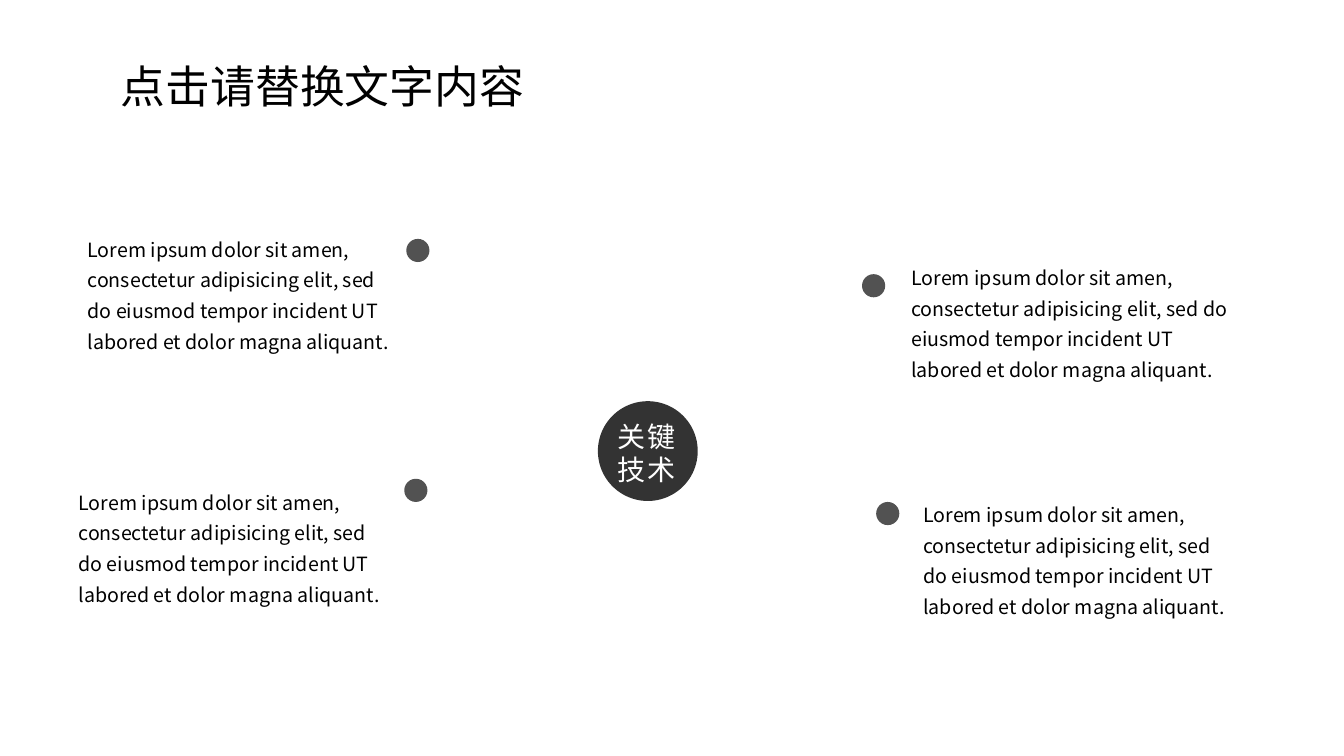
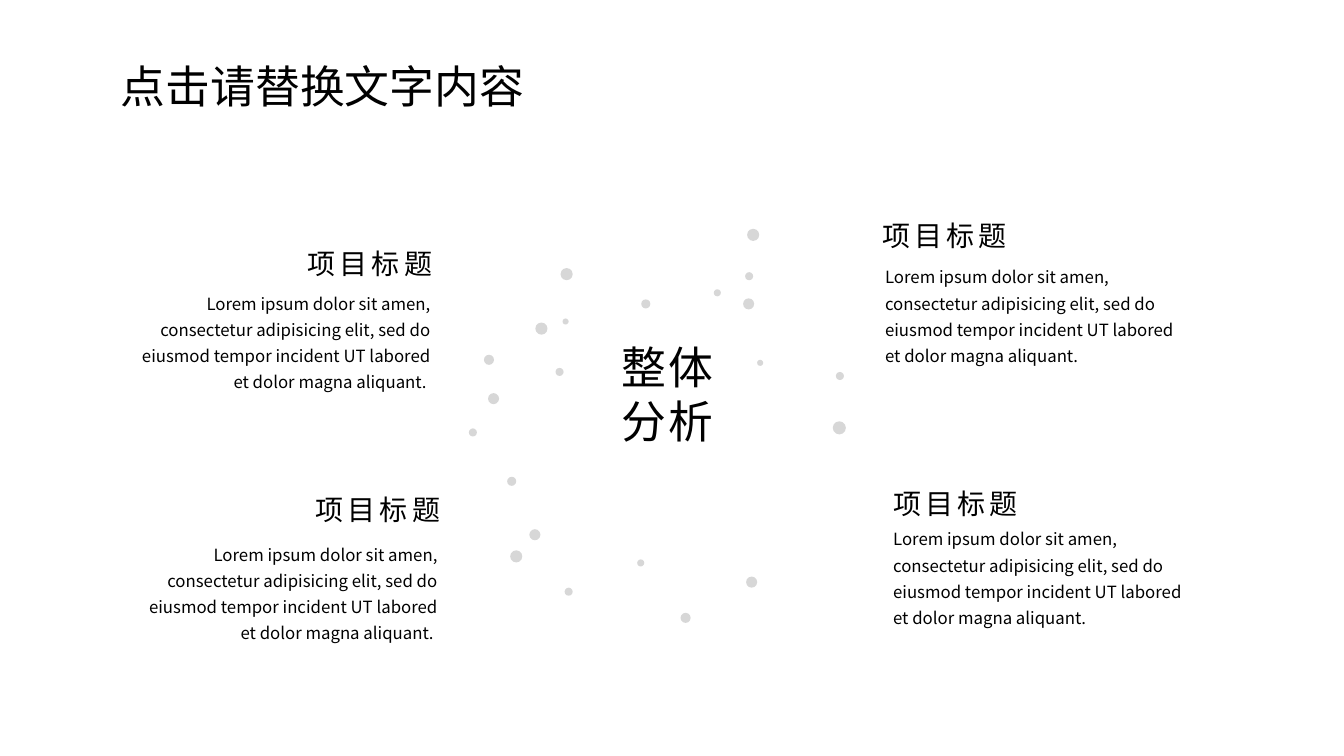
from pptx import Presentation
from pptx.dml.color import RGBColor
from pptx.enum.shapes import MSO_SHAPE
from pptx.enum.text import MSO_AUTO_SIZE, PP_ALIGN
from pptx.oxml.ns import qn
from pptx.util import Inches, Pt
from lxml import etree

OVAL = MSO_SHAPE.OVAL
FIT = MSO_AUTO_SIZE.SHAPE_TO_FIT_TEXT
LEFT, RIGHT = PP_ALIGN.LEFT, PP_ALIGN.RIGHT
SANS, HEAD = "Noto Sans CJK SC", "Noto Sans CJK JP"
BLACK, WHITE, GREY, DARK, MIST = "000000", "FFFFFF", "525252", "333333", "7F7F7F"
LEAD = 1.3

TITLE = "点击请替换文字内容"
ITEM = "项目标题"
LOREM = ("Lorem ipsum dolor sit amen, consectetur adipisicing elit, sed do "
         "eiusmod tempor incident UT labored et dolor magna aliquant.")

# dot left, dot top, text left, text top, text width
POINTS = [
    (4.03, 2.37, 0.77, 2.24, 3.25),
    (4.01, 4.75, 0.68, 4.75, 3.25),
    (8.55, 2.72, 8.94, 2.52, 3.52),
    (8.69, 4.98, 9.06, 4.87, 3.28),
]
# heading left, heading top, text left, text top, text width, alignment
ITEMS = [
    (2.95, 2.3, 1.16, 2.8, 3.21, RIGHT),
    (3.03, 4.74, 1.23, 5.29, 3.21, RIGHT),
    (8.65, 2.02, 8.68, 2.54, 3.19, LEFT),
    (8.76, 4.68, 8.76, 5.14, 3.19, LEFT),
]
# size: left and top of each dot
CLOUD = {
    0.06: [(5.58, 3.16), (7.51, 3.57)],
    0.07: [(6.32, 5.55), (7.08, 2.87)],
    0.08: [(5.6, 5.83), (8.29, 3.69), (7.39, 2.7), (5.51, 3.65), (4.65, 4.25)],
    0.09: [(6.36, 2.97), (5.03, 4.73)],
    0.1: [(4.8, 3.52), (6.75, 6.08)],
    0.11: [(5.25, 5.25), (7.4, 5.72), (7.37, 2.96), (4.84, 3.9)],
    0.12: [(7.41, 2.27), (5.06, 5.46), (5.56, 2.66), (5.31, 3.2)],
    0.13: [(8.26, 4.18)],
}


def color(text):
    return RGBColor.from_string(text)


def disc(slide, x, y, size, fill, alpha=100):
    """Draw a circle; alpha is its opacity in percent."""
    shape = slide.shapes.add_shape(OVAL, *map(Inches, (x, y, size, size)))
    shape.shadow.inherit = False
    shape.line.fill.background()
    shape.fill.solid()
    shape.fill.fore_color.rgb = color(fill)
    if alpha < 100:
        tint = shape.fill._xPr.find(".//" + qn("a:srgbClr"))
        etree.SubElement(tint, qn("a:alpha"), val=str(alpha * 1000))


def label(slide, box, text, size, font=SANS, ink=BLACK, wrap=True,
          align=LEFT, lead=None, track=0):
    """Add a text box; track is the letter spacing in points."""
    frame = slide.shapes.add_textbox(*map(Inches, box)).text_frame
    frame.word_wrap = wrap
    frame.auto_size = FIT
    frame.text = text
    for para in frame.paragraphs:
        para.alignment = align
        para.line_spacing = lead
        for run in para.runs:
            run.font.size = Pt(size)
            run.font.name = font
            run.font.color.rgb = color(ink)
            props = run.font._element
            etree.SubElement(props, qn("a:ea"), typeface=font)
            if track:
                props.set("spc", str(track * 100))


def start(prs):
    """Add a blank slide with the shared title."""
    slide = prs.slides.add_slide(prs.slide_layouts[6])
    label(slide, (1.1, 0.53, 4.24, 0.64), TITLE, 32, wrap=False)
    return slide


def key_slide(prs):
    slide = start(prs)
    disc(slide, 5.93, 3.98, 0.99, DARK)
    label(slide, (6.03, 4.11, 1.03, 0.77), "关键技术", 20, HEAD, WHITE, track=1)
    for dot_x, dot_y, x, y, width in POINTS:
        disc(slide, dot_x, dot_y, 0.23, GREY)
        label(slide, (x, y, width, 1.33), LOREM, 14, lead=LEAD)


def whole_slide(prs):
    slide = start(prs)
    for size, spots in CLOUD.items():
        for x, y in spots:
            disc(slide, x, y, size, MIST, 31)
    for head_x, head_y, x, y, width, align in ITEMS:
        label(slide, (head_x, head_y, 1.71, 0.48), ITEM, 20, HEAD,
              wrap=False, lead=LEAD, track=3)
        body = LOREM + " " if align == RIGHT else LOREM
        label(slide, (x, y, width, 1.15), body, 12, align=align, lead=LEAD)
    disc(slide, 5.78, 3.08, 1.66, WHITE, 75)
    label(slide, (6.07, 3.32, 1.35, 1.18), "整体\n分析", 32, HEAD, track=1)


def main():
    prs = Presentation()
    prs.slide_width, prs.slide_height = Inches(13.33), Inches(7.5)
    key_slide(prs)
    whole_slide(prs)
    prs.save("out.pptx")


if __name__ == "__main__":
    main()
